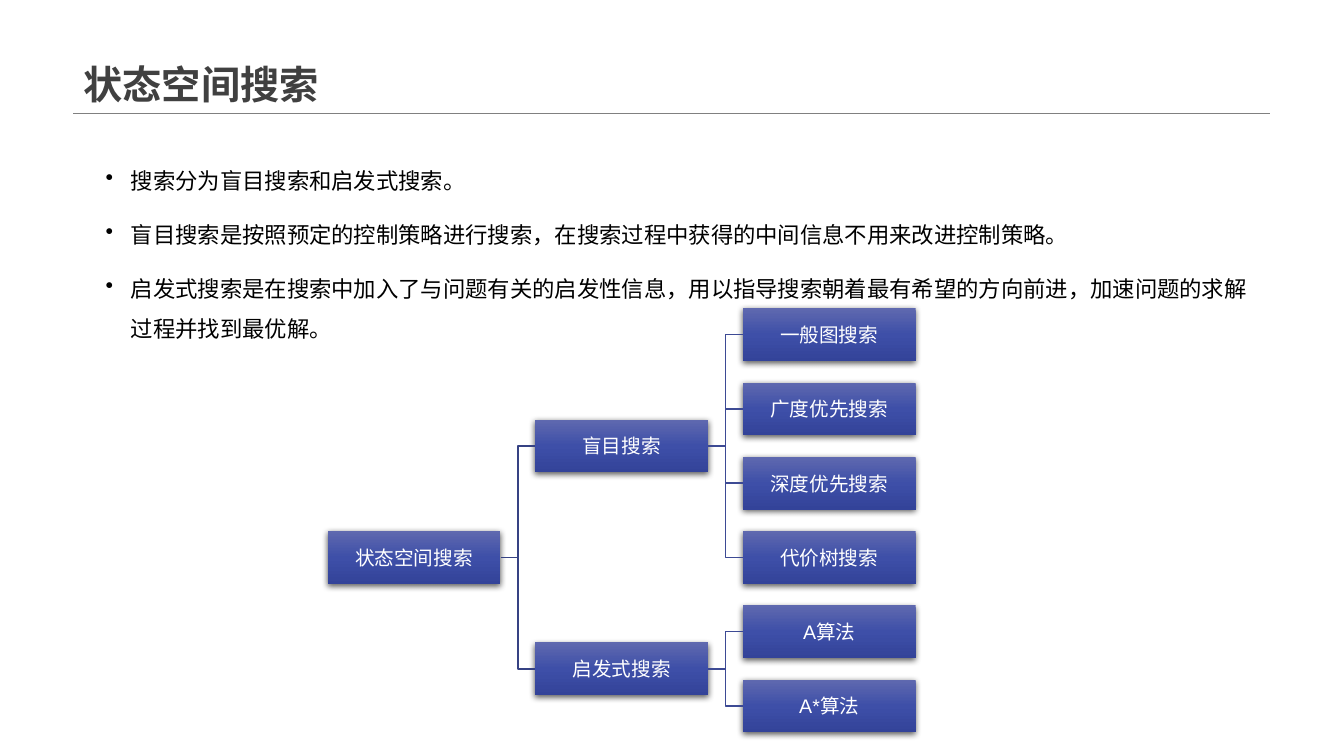
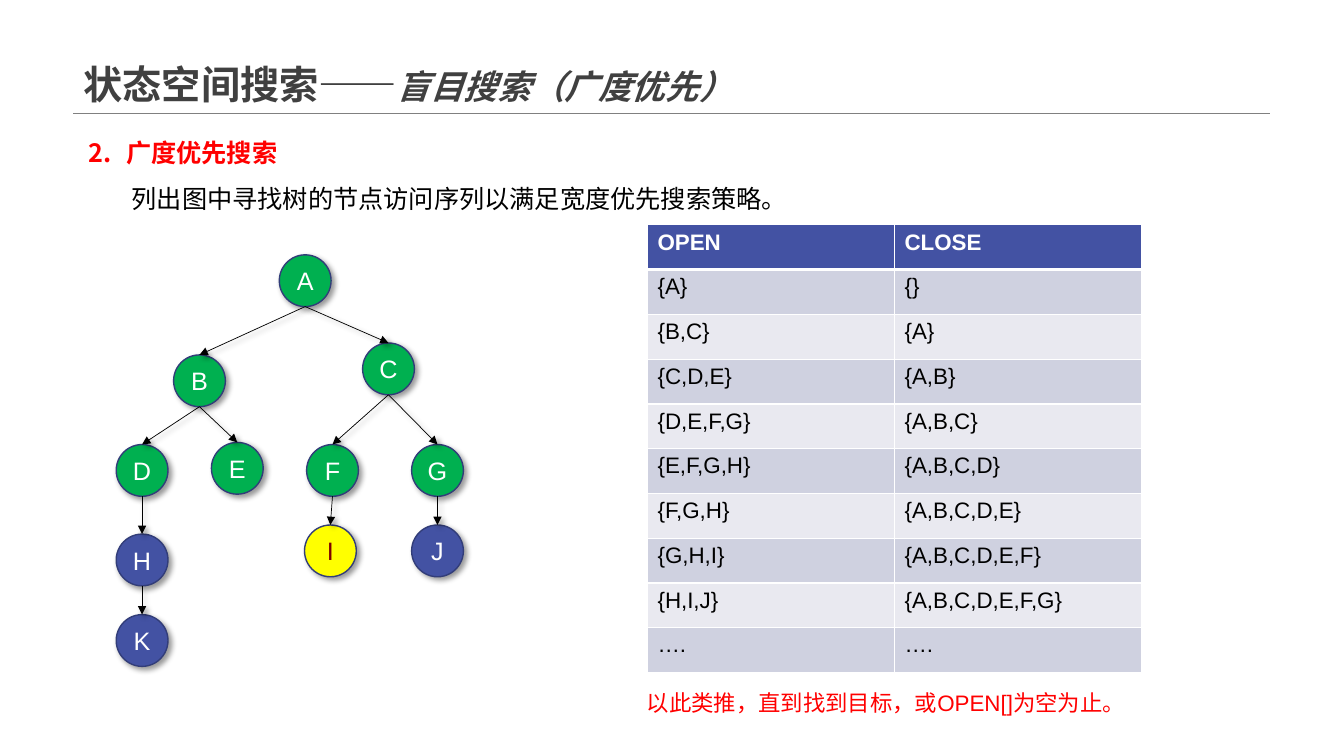
import copy
from dataclasses import dataclass

import pptx
import pptx.dml.color
import pptx.enum.dml
import pptx.enum.lang
import pptx.enum.shapes
import pptx.enum.text
import pptx.oxml
import pptx.oxml.ns
import pptx.oxml.xmlchemy
import pptx.util

Pt = pptx.util.Pt
qn = pptx.oxml.ns.qn
MSO_ANCHOR = pptx.enum.text.MSO_ANCHOR
PP_ALIGN = pptx.enum.text.PP_ALIGN
MSO_SHAPE = pptx.enum.shapes.MSO_SHAPE
MSO_CONNECTOR = pptx.enum.shapes.MSO_CONNECTOR


@dataclass(frozen=True)
class Theme:
    font: str = "Arial"
    title_size: float = 28
    subtitle_size: float = 24
    heading_size: float = 18
    body_size: float = 16
    box_size: float = 14
    title: str = "404040"
    rule: str = "808080"
    text: str = "000000"
    white: str = "FFFFFF"
    alert: str = "FF0000"
    accent: str = "4352A3"
    outline: str = "323D79"
    visited: str = "00B050"
    goal: str = "FFFF00"
    goal_text: str = "7E0000"
    band_dark: str = "CFD1E0"
    band_light: str = "E9E9F0"
    root_link: str = "364283"
    branch_link: str = "3D4A94"
    box_gradient: tuple = ((0, "5F69AF"), (0.5, "3E4FA8"), (1, "334399"))
    # blur, distance, angle, opacity in percent
    box_shadow: tuple = (4.5, 1.5, 90, 63)
    node_shadow: tuple = (4, 3, 45, 40)


THEME = Theme()
MARGIN, CONTENT_WIDTH, TITLE_HEIGHT = 52.5, 854.5, 80.6

BULLETS = (
    "搜索分为盲目搜索和启发式搜索。",
    "盲目搜索是按照预定的控制策略进行搜索，在搜索过程中获得的中间信息不用来改进控制策略。",
    "启发式搜索是在搜索中加入了与问题有关的启发性信息，用以指导搜索朝着最有希望的方向前进，"
    "加速问题的求解过程并找到最优解。",
)
SEARCH_TYPES = {
    "盲目搜索": ("一般图搜索", "广度优先搜索", "深度优先搜索", "代价树搜索"),
    "启发式搜索": ("A算法", "A*算法"),
}
TREE_NODES = {
    "A": (199.5, 182), "B": (124, 253.5), "C": (259, 245), "D": (83, 317.5),
    "E": (151, 316), "F": (219, 317.5), "G": (294, 317.5), "H": (83, 381.5),
    "I": (217.5, 375), "J": (294, 375), "K": (83, 439),
}
TREE_EDGES = ("AB", "AC", "BD", "BE", "DH", "HK", "CF", "CG", "FI", "GJ")
SEARCH_STEPS = (
    ("OPEN", "CLOSE"),
    ("{A}", "{}"),
    ("{B,C}", "{A}"),
    ("{C,D,E}", "{A,B}"),
    ("{D,E,F,G}", "{A,B,C}"),
    ("{E,F,G,H}", "{A,B,C,D}"),
    ("{F,G,H}", "{A,B,C,D,E}"),
    ("{G,H,I}", "{A,B,C,D,E,F}"),
    ("{H,I,J}", "{A,B,C,D,E,F,G}"),
    ("….", "…."),
)


def rgb(color):
    return pptx.dml.color.RGBColor.from_string(color)


def sub(parent, tag, **attributes):
    """Append an XML element and return it."""
    element = pptx.oxml.xmlchemy.OxmlElement(tag)
    for name, value in attributes.items():
        element.set(name, str(value))
    parent.append(element)
    return element


def add_text(p, text, size=THEME.body_size, color=THEME.text, bold=False, italic=False,
             align=None, line=None, before=None):
    """Append a run to p, with paragraph settings where given."""
    if align is not None:
        p.alignment = align
    if line is not None:
        p.line_spacing = line
    if before is not None:
        p.space_before = Pt(before)
    r = p.add_run()
    r.text = text
    font = r.font
    font.name, font.size = THEME.font, Pt(size)
    font.bold, font.italic = bold, italic
    font.color.rgb = rgb(color)
    font.language_id = pptx.enum.lang.MSO_LANGUAGE_ID.SIMPLIFIED_CHINESE


def add_marker(p, indent, tag, **attributes):
    """Give p a hanging bullet or number."""
    pPr = p._p.get_or_add_pPr()
    pPr.set("marL", str(Pt(indent)))
    pPr.set("indent", str(-Pt(indent)))
    sub(pPr, tag, **attributes)


def add_textbox(s, left, top, width, height):
    tf = s.shapes.add_textbox(Pt(left), Pt(top), Pt(width), Pt(height)).text_frame
    tf.word_wrap = True
    return tf


def set_shadow(shape, shadow=None):
    """Replace the theme shadow; call after fill and line are set."""
    effects = sub(shape._element.spPr, "a:effectLst")
    if shadow:
        blur, distance, angle, opacity = shadow
        outer = sub(effects, "a:outerShdw", blurRad=Pt(blur), dist=Pt(distance),
                    dir=angle * 60000, algn="ctr", rotWithShape=0)
        sub(sub(outer, "a:srgbClr", val="000000"), "a:alpha", val=opacity * 1000)


def add_line(s, kind, start, end, color, width, shadow=None, arrow=False):
    line = s.shapes.add_connector(kind, *(Pt(v) for v in (*start, *end)))
    line.line.color.rgb = rgb(color)
    line.line.width = Pt(width)
    if arrow:
        sub(line.line._get_or_add_ln(), "a:tailEnd", type="triangle")
    set_shadow(line, shadow)
    return line


def add_titled_slide(prs, title, subtitle=""):
    s = prs.slides.add_slide(prs.slide_layouts[5])
    add_line(s, MSO_CONNECTOR.STRAIGHT, (MARGIN, TITLE_HEIGHT),
             (MARGIN + CONTENT_WIDTH, TITLE_HEIGHT), THEME.rule, 0.25)
    sp = s.shapes.title
    sp.left, sp.top, sp.width, sp.height = (
        Pt(v) for v in (MARGIN, 0, CONTENT_WIDTH, TITLE_HEIGHT))
    tf = sp.text_frame
    tf.auto_size = pptx.enum.text.MSO_AUTO_SIZE.NONE
    tf.vertical_anchor = MSO_ANCHOR.BOTTOM
    p = tf.paragraphs[0]
    add_text(p, title, size=THEME.title_size, color=THEME.title, bold=True,
             align=PP_ALIGN.LEFT, line=0.9)
    if subtitle:
        add_text(p, subtitle, size=THEME.subtitle_size, color=THEME.title,
                 bold=True, italic=True)
    return s


def add_bullets(s, items):
    tf = add_textbox(s, 68.4, 106, 839, 122)
    for i, item in enumerate(items):
        p = tf.add_paragraph() if i else tf.paragraphs[0]
        add_marker(p, 18, "a:buChar", char="•")
        add_text(p, item, line=1.5, before=10 if i else 0)


def add_label(sp, text, size, color):
    """Centre text in a shape."""
    tf = sp.text_frame
    tf.margin_left = tf.margin_right = tf.margin_top = tf.margin_bottom = Pt(0.7)
    tf.vertical_anchor = MSO_ANCHOR.MIDDLE
    add_text(tf.paragraphs[0], text, size=size, color=color, align=PP_ALIGN.CENTER)


def add_search_box(s, text, column, row):
    """Draw a box on the chart's grid; row may be fractional."""
    sp = s.shapes.add_shape(MSO_SHAPE.RECTANGLE, Pt(234 + 148.3 * column),
                            Pt(220.2 + 53.05 * row), Pt(123.5), Pt(37.7))
    sp.fill.gradient()
    sp.fill.gradient_angle = 270
    gs_lst = sp._element.spPr.find(".//" + qn("a:gsLst"))
    gs_lst.append(copy.deepcopy(gs_lst[0]))
    for stop, (position, color) in zip(sp.fill.gradient_stops, THEME.box_gradient):
        stop.position = position
        stop.color.rgb = rgb(color)
    sp.line.fill.background()
    set_shadow(sp, THEME.box_shadow)
    add_label(sp, text, THEME.box_size, THEME.white)
    return sp


def link_boxes(s, parent, children, color):
    for child in children:
        link = add_line(s, MSO_CONNECTOR.ELBOW, (0, 0), (0, 0), color, 1)
        link.begin_connect(parent, 3)
        link.end_connect(child, 1)


def add_search_chart(s, root, branches):
    """Stack the leaves and centre each parent on its children."""
    row, branch_boxes, branch_rows = 0, [], []
    for name, leaves in branches.items():
        leaf_boxes = [add_search_box(s, leaf, 2, row + i) for i, leaf in enumerate(leaves)]
        branch_rows.append(row + (len(leaves) - 1) / 2)
        branch_boxes.append(add_search_box(s, name, 1, branch_rows[-1]))
        link_boxes(s, branch_boxes[-1], leaf_boxes, THEME.branch_link)
        row += len(leaves)
    root_box = add_search_box(s, root, 0, sum(branch_rows) / len(branch_rows))
    link_boxes(s, root_box, branch_boxes, THEME.root_link)


def add_tree(s, nodes, edges):
    diameter = 37
    colors = {name: (THEME.accent, THEME.white) for name in "HJK"}
    colors["I"] = (THEME.goal, THEME.goal_text)
    circles = {}
    for name, (left, top) in nodes.items():
        fill, color = colors.get(name, (THEME.visited, THEME.white))
        sp = s.shapes.add_shape(MSO_SHAPE.OVAL, Pt(left), Pt(top), Pt(diameter), Pt(diameter))
        sp.fill.solid()
        sp.fill.fore_color.rgb = rgb(fill)
        sp.line.color.rgb = rgb(THEME.outline)
        sp.line.width = Pt(1)
        set_shadow(sp, THEME.node_shadow)
        add_label(sp, name, THEME.heading_size, color)
        circles[name] = sp
    for parent, child in edges:
        left, top = nodes[parent]
        arrow = add_line(s, MSO_CONNECTOR.STRAIGHT, (left + diameter / 2, top + diameter),
                         nodes[child], THEME.text, 0.5, THEME.node_shadow, arrow=True)
        arrow.end_connect(circles[child], 0)


def format_cell(cell, fill, top, bottom):
    """Fill a cell and rule it in white; top and bottom are line widths."""
    tcPr = cell._tc.get_or_add_tcPr()
    for side, width in (("L", 1), ("R", 1), ("T", top), ("B", bottom)):
        ln = sub(tcPr, "a:ln" + side, w=Pt(width))
        sub(sub(ln, "a:solidFill"), "a:srgbClr", val=THEME.white)
    cell.fill.solid()
    cell.fill.fore_color.rgb = rgb(fill)


def add_steps_table(s, rows):
    table = s.shapes.add_table(len(rows), 2, Pt(462.5), Pt(160.6), Pt(353),
                               Pt(32 * len(rows))).table
    for i, values in enumerate(rows):
        header = i == 0
        band = THEME.band_dark if i % 2 else THEME.band_light
        for j, value in enumerate(values):
            cell = table.cell(i, j)
            format_cell(cell, THEME.accent if header else band,
                        top=3 if i == 1 else 1, bottom=3 if header else 1)
            add_text(cell.text_frame.paragraphs[0], value, bold=header,
                     color=THEME.white if header else THEME.text)


def main():
    prs = pptx.Presentation()
    prs.slide_width, prs.slide_height = Pt(960), Pt(540)

    s = add_titled_slide(prs, "状态空间搜索")
    add_bullets(s, BULLETS)
    add_search_chart(s, "状态空间搜索", SEARCH_TYPES)

    s = add_titled_slide(prs, "状态空间搜索——", "盲目搜索（广度优先）")
    p = add_textbox(s, 56, 94.5, 160, 29).paragraphs[0]
    add_marker(p, 27, "a:buAutoNum", type="arabicPeriod", startAt=2)
    add_text(p, "广度优先搜索", size=THEME.heading_size, color=THEME.alert, bold=True)
    add_text(add_textbox(s, 87, 127.5, 487.5, 29).paragraphs[0],
             "列出图中寻找树的节点访问序列以满足宽度优先搜索策略。", size=THEME.heading_size)
    add_tree(s, TREE_NODES, TREE_EDGES)
    add_steps_table(s, SEARCH_STEPS)
    add_text(add_textbox(s, 455, 489, 445, 26.6).paragraphs[0],
             "以此类推，直到找到目标，或OPEN[]为空为止。", color=THEME.alert)

    prs.save("out.pptx")


if __name__ == "__main__":
    main()
